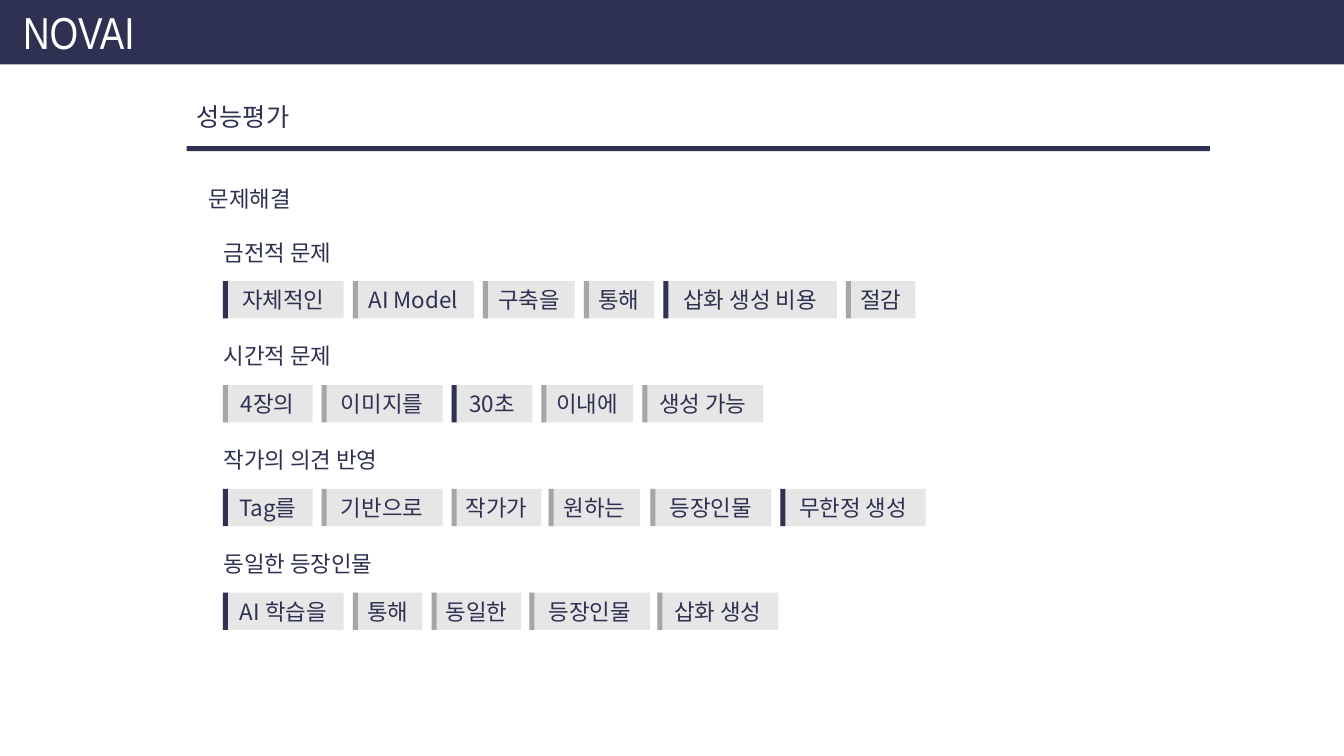
from dataclasses import dataclass
from typing import NamedTuple

from lxml.etree import SubElement
from pptx import Presentation
from pptx.dml.color import RGBColor as Rgb
from pptx.enum.shapes import MSO_SHAPE as Kind
from pptx.enum.text import MSO_ANCHOR as Anchor, MSO_AUTO_SIZE as Fit, PP_ALIGN as Align
from pptx.oxml.ns import qn
from pptx.shapes.autoshape import Shape
from pptx.slide import Slide
from pptx.util import Emu, Pt

PX = 9144  # 100 px to the inch


@dataclass(frozen=True)
class Theme:
    navy: str = "2E3151"
    white: str = "FFFFFF"
    chip: str = "E7E6E6"
    gray: str = "A6A6A6"
    latin: str = "Arial Narrow"
    body: str = "Noto Sans CJK KR"
    logo: int = 32
    title: int = 18
    text: int = 16


class Box(NamedTuple):
    x: int
    y: int
    w: int
    h: int


class Chip(NamedTuple):
    text: str
    w: int
    key: bool = False  # dark edge marks a key word
    gap: int = 9  # space after the chip


class Group(NamedTuple):
    head: str
    w: int
    chips: list[Chip]


T = Theme()
LEFT, TOP, STEP = 212, 232, 103
INSET, DROP, HIGH, EDGE = 9, 47, 37, 5

GROUPS = [
    Group("금전적 문제", 144, [
        Chip("자체적인", 120, True), Chip("AI Model", 120), Chip("구축을", 91),
        Chip("통해", 70), Chip("삽화 생성 비용", 172, True), Chip("절감", 69)]),
    Group("시간적 문제", 144, [
        Chip("4장의", 89), Chip("이미지를", 120), Chip("30초", 80, True),
        Chip("이내에", 91), Chip("생성 가능", 120)]),
    Group("작가의 의견 반영", 201, [
        Chip("Tag를", 89, True), Chip("기반으로", 120), Chip("작가가", 89, gap=7),
        Chip("원하는", 91, gap=10), Chip("등장인물", 120), Chip("무한정 생성", 144, True)]),
    Group("동일한 등장인물", 201, [
        Chip("AI 학습을", 120, True), Chip("통해", 69), Chip("동일한", 89, gap=8),
        Chip("등장인물", 120, gap=7), Chip("삽화 생성", 120)]),
]


def emu(box: Box) -> list[Emu]:
    return [Emu(n * PX) for n in box]


def write(shape: Shape, text: str, *, size: int = T.text, color: str = T.navy,
          face: str = T.body, align: Align = Align.LEFT,
          anchor: Anchor = Anchor.TOP) -> None:
    frame = shape.text_frame
    frame.word_wrap = True
    frame.vertical_anchor = anchor
    para = frame.paragraphs[0]
    para.alignment = align
    run = para.add_run()
    run.text = text
    font = run.font
    font.size = Pt(size)
    font.color.rgb = Rgb.from_string(color)
    font.name = face
    # East Asian glyphs use the same face
    SubElement(run._r.get_or_add_rPr(), qn("a:ea")).set("typeface", face)


def label(slide: Slide, box: Box, text: str, **style) -> None:
    shape = slide.shapes.add_textbox(*emu(box))
    write(shape, text, **style)
    shape.text_frame.auto_size = Fit.SHAPE_TO_FIT_TEXT


def block(slide: Slide, box: Box, color: str) -> Shape:
    shape = slide.shapes.add_shape(Kind.RECTANGLE, *emu(box))
    shape.shadow.inherit = False
    shape.fill.solid()
    shape.fill.fore_color.rgb = Rgb.from_string(color)
    shape.line.fill.background()
    return shape


def draw(slide: Slide, group: Group, y: int) -> None:
    label(slide, Box(LEFT, y, group.w, HIGH), group.head)
    x = LEFT + INSET
    for chip in group.chips:
        tile = block(slide, Box(x, y + DROP, chip.w, HIGH), T.chip)
        write(tile, chip.text, align=Align.CENTER, anchor=Anchor.MIDDLE)
        block(slide, Box(x, y + DROP, EDGE, HIGH), T.navy if chip.key else T.gray)
        x += chip.w + chip.gap


def main() -> None:
    deck = Presentation()
    deck.slide_width, deck.slide_height = Emu(1333 * PX), Emu(750 * PX)
    slide = deck.slides.add_slide(deck.slide_layouts[6])

    # Top band
    block(slide, Box(0, 0, 1333, 64), T.navy)
    label(slide, Box(13, 0, 135, 64), "NOVAI", size=T.logo, color=T.white, face=T.latin)

    # Title and rule
    label(slide, Box(185, 96, 258, 40), "성능평가", size=T.title)
    block(slide, Box(185, 145, 1015, 5), T.navy)
    label(slide, Box(197, 179, 115, HIGH), "문제해결")

    # Problem groups
    for row, group in enumerate(GROUPS):
        draw(slide, group, TOP + row * STEP)

    deck.save("out.pptx")


if __name__ == "__main__":
    main()
